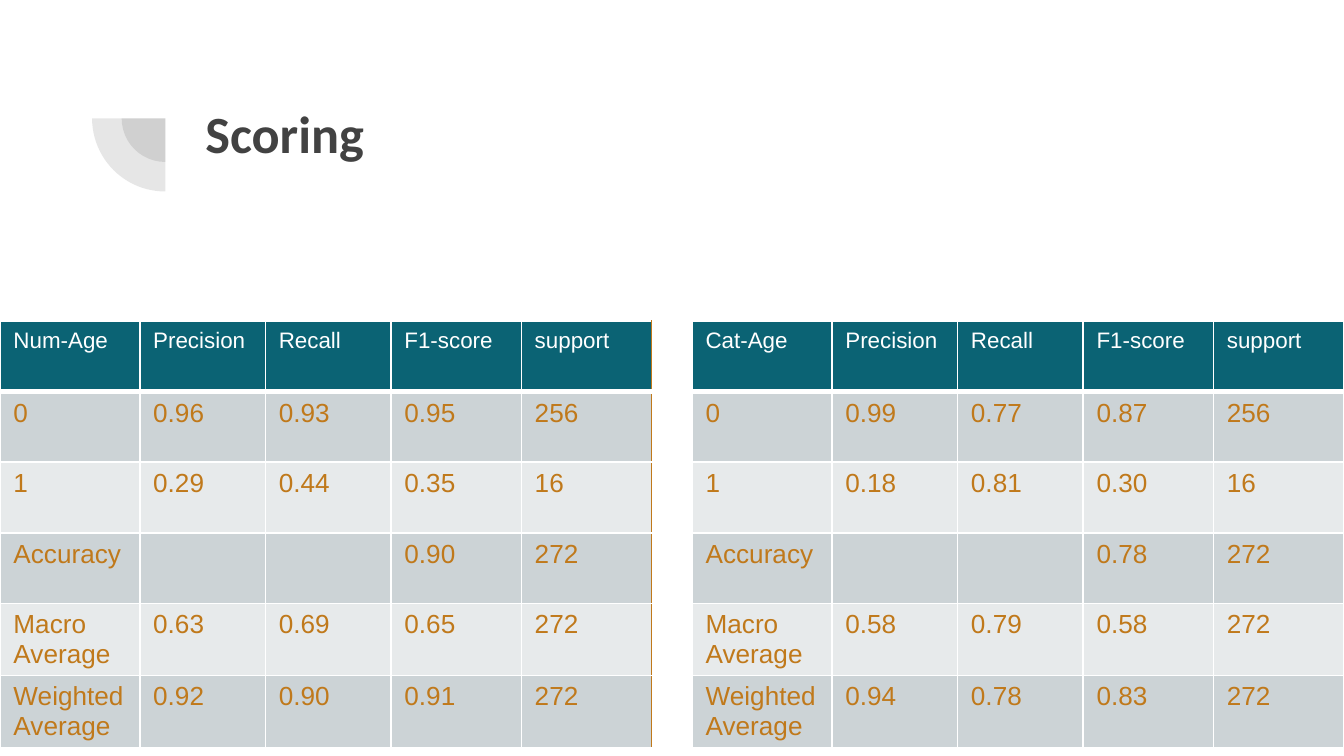
"""Build the scoring slide that compares two classification reports."""
from dataclasses import dataclass

from lxml.etree import SubElement
from pptx import Presentation
from pptx.dml.color import RGBColor
from pptx.enum.shapes import MSO_SHAPE
from pptx.oxml.ns import qn
from pptx.util import Inches, Pt


@dataclass(frozen=True)
class Theme:
    dark: str = "424242"
    header: str = "0B6374"
    bands: tuple = ("CCD3D6", "E7EAEB")
    accent: str = "C0791B"
    white: str = "FFFFFF"
    title_font: str = "Calibri"
    body_font: str = "Arial"
    title_size: int = 28
    header_size: int = 12
    body_size: int = 14
    thin_line: int = 1
    thick_line: int = 3
    ornament_opacity: int = 13


HEADINGS = ["Precision", "Recall", "F1-score", "support"]
ROW_LABELS = ["0", "1", "Accuracy", "Macro\nAverage", "Weighted\nAverage"]
TABLE_TOP = 2.39
TABLE_WIDTH = 4.85
TABLE_HEIGHT = 3.15
LABEL_WIDTH = 1.04
COUNT_WIDTH = 0.97
RATE_WIDTH = (TABLE_WIDTH - LABEL_WIDTH - 2 * COUNT_WIDTH) / 2
COLUMN_WIDTHS = [LABEL_WIDTH, RATE_WIDTH, RATE_WIDTH, COUNT_WIDTH, COUNT_WIDTH]

NUMERIC_AGE_SCORES = [
    ["0.96", "0.93", "0.95", "256"],
    ["0.29", "0.44", "0.35", "16"],
    ["", "", "0.90", "272"],
    ["0.63", "0.69", "0.65", "272"],
    ["0.92", "0.90", "0.91", "272"],
]
CATEGORY_AGE_SCORES = [
    ["0.99", "0.77", "0.87", "256"],
    ["0.18", "0.81", "0.30", "16"],
    ["", "", "0.78", "272"],
    ["0.58", "0.79", "0.58", "272"],
    ["0.94", "0.78", "0.83", "272"],
]


def write_text(text_frame, text, *, font, size, color, bold=False):
    text_frame.text = text
    for paragraph in text_frame.paragraphs:
        paragraph.font.size = Pt(size)
        for run in paragraph.runs:
            run.font.name = font
            run.font.size = Pt(size)
            run.font.bold = bold
            run.font.color.rgb = RGBColor.from_string(color)


class SlideBuilder:
    def __init__(self, slide, theme):
        self.slide = slide
        self.theme = theme

    def title(self, text, left, top, width, height):
        shape = self.slide.shapes.add_textbox(
            Inches(left), Inches(top), Inches(width), Inches(height))
        frame = shape.text_frame
        frame.word_wrap = True
        frame.margin_left = frame.margin_right = Inches(0.1)
        frame.margin_top = frame.margin_bottom = Inches(0.1)
        write_text(frame, text, font=self.theme.title_font,
                   size=self.theme.title_size, color=self.theme.dark, bold=True)

    def quarter_circles(self, center_x, center_y, diameters):
        group = self.slide.shapes.add_group_shape()
        for diameter in diameters:
            shape = group.shapes.add_shape(
                MSO_SHAPE.PIE,
                Inches(center_x - diameter / 2), Inches(center_y - diameter / 2),
                Inches(diameter), Inches(diameter))
            shape.adjustments[0] = 107.93
            shape.adjustments[1] = 162
            shape.rotation = 270
            shape.shadow.inherit = False
            shape.line.fill.background()
            shape.fill.solid()
            shape.fill.fore_color.rgb = RGBColor.from_string(self.theme.dark)
            color = shape._element.spPr.find(qn("a:solidFill"))[0]
            SubElement(color, qn("a:alpha"),
                       val=str(self.theme.ornament_opacity * 1000))

    def cell_border(self, cell, side, color, width):
        properties = cell._tc.get_or_add_tcPr()
        line = SubElement(properties, qn(f"a:ln{side}"), w=str(Pt(width)))
        fill = SubElement(line, qn("a:solidFill"))
        SubElement(fill, qn("a:srgbClr"), val=color)

    def score_table(self, name, scores, left, right_edge):
        theme = self.theme
        rows = [[name, *HEADINGS]]
        rows += [[label, *values] for label, values in zip(ROW_LABELS, scores)]
        table = self.slide.shapes.add_table(
            len(rows), len(COLUMN_WIDTHS), Inches(left), Inches(TABLE_TOP),
            Inches(TABLE_WIDTH), Inches(TABLE_HEIGHT)).table
        table.horz_banding = False
        for column, width in zip(table.columns, COLUMN_WIDTHS):
            column.width = Inches(width)
        for row_index, values in enumerate(rows):
            table.rows[row_index].height = Inches(TABLE_HEIGHT / len(rows))
            is_header = row_index == 0
            fill = theme.header if is_header else theme.bands[(row_index - 1) % 2]
            for column_index, text in enumerate(values):
                cell = table.cell(row_index, column_index)
                is_last = column_index == len(values) - 1
                top = theme.thick_line if row_index == 1 else theme.thin_line
                bottom = theme.thick_line if is_header else theme.thin_line
                self.cell_border(cell, "L", theme.white, theme.thin_line)
                self.cell_border(cell, "R", right_edge if is_last else theme.white,
                                 theme.thin_line)
                self.cell_border(cell, "T", theme.white, top)
                self.cell_border(cell, "B", theme.white, bottom)
                cell.margin_bottom = Inches(0.02)
                cell.fill.solid()
                cell.fill.fore_color.rgb = RGBColor.from_string(fill)
                write_text(cell.text_frame, text, font=theme.body_font,
                           size=theme.header_size if is_header else theme.body_size,
                           color=theme.white if is_header else theme.accent)


def main():
    presentation = Presentation()
    presentation.slide_width = Inches(10)
    presentation.slide_height = Inches(10) * 9 // 16
    slide = presentation.slides.add_slide(presentation.slide_layouts[6])
    theme = Theme()
    builder = SlideBuilder(slide, theme)
    builder.quarter_circles(1.23, 0.88, [0.65, 1.09])
    builder.title("Scoring", 1.43, 0.65, 7.69, 1.09)
    builder.score_table("Num-Age", NUMERIC_AGE_SCORES, 0, theme.accent)
    builder.score_table("Cat-Age", CATEGORY_AGE_SCORES, 5.15, theme.white)
    presentation.save("out.pptx")


if __name__ == "__main__":
    main()
